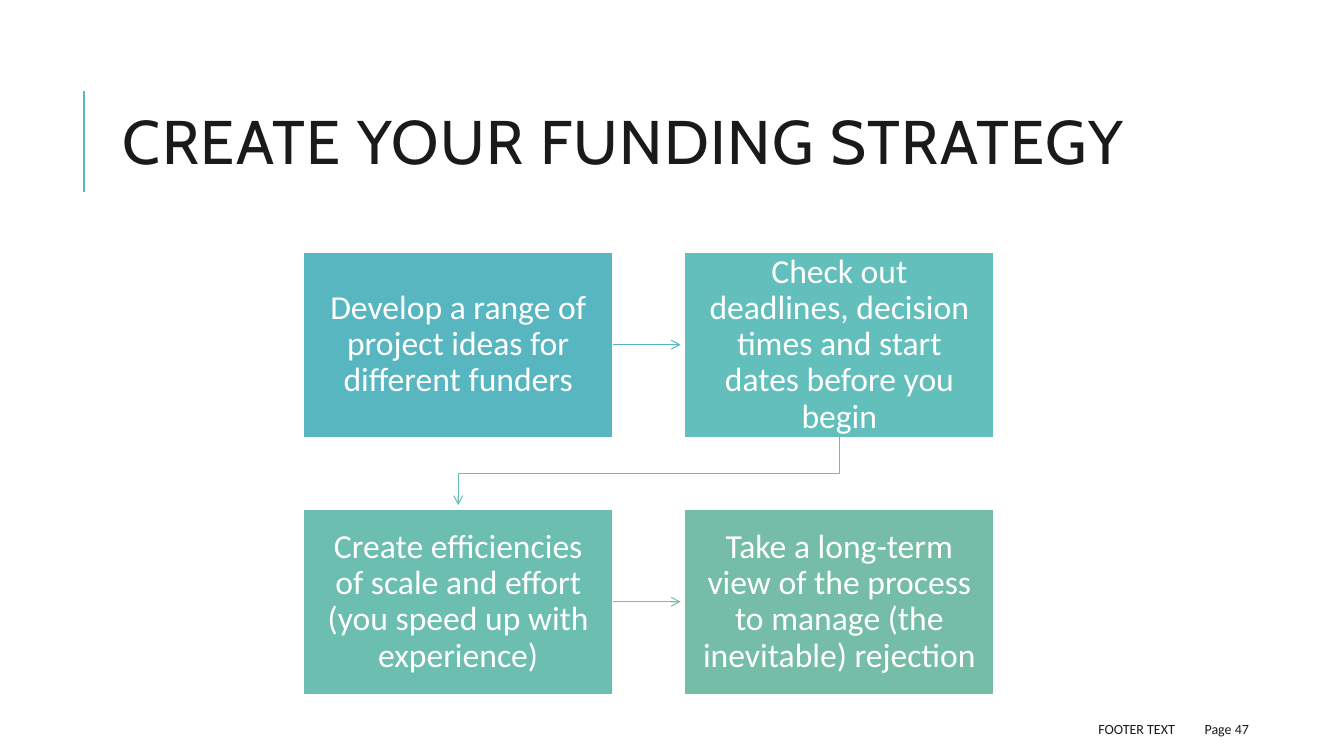
from lxml import etree
from pptx import Presentation
from pptx.dml.color import RGBColor
from pptx.enum.shapes import MSO_CONNECTOR, MSO_SHAPE
from pptx.enum.text import MSO_ANCHOR, PP_ALIGN
from pptx.oxml.ns import qn
from pptx.util import Inches, Pt

WHITE = RGBColor(0xFF, 0xFF, 0xFF)
INK = RGBColor(0x1A, 0x1A, 0x1A)
BLUE = RGBColor(0x58, 0xB6, 0xC0)
TEAL = RGBColor(0x67, 0xBE, 0xB5)
GREEN = RGBColor(0x75, 0xBD, 0xA7)
STEPS = [
    ("Develop a range of project ideas for different funders", BLUE),
    ("Check out deadlines, decision times and start dates before you begin",
     RGBColor(0x62, 0xBF, 0xBB)),
    ("Create efficiencies of scale and effort (you speed up with experience)",
     RGBColor(0x6C, 0xBE, 0xB0)),
    ("Take a long-term view of the process to manage (the inevitable) rejection",
     GREEN),
]


def write(tf, text, size, color, font="Calibri", align=PP_ALIGN.LEFT, spacing=1.0):
    """Write one middle-anchored paragraph and return its run."""
    tf.word_wrap = True
    tf.vertical_anchor = MSO_ANCHOR.MIDDLE
    p = tf.paragraphs[0]
    p.alignment = align
    p.line_spacing = spacing
    r = p.add_run()
    r.text = text
    r.font.name = font
    r.font.size = Pt(size)
    r.font.color.rgb = color
    return r


def style_line(sp, color, width, arrow=False):
    """Colour a line, drop its shadow and give it an optional arrowhead."""
    sp.line.color.rgb = color
    sp.line.width = Pt(width)
    if arrow:
        ln = sp.line._get_or_add_ln()
        etree.SubElement(ln, qn("a:tailEnd"), type="arrow")
    sp_pr = sp._element.spPr
    if sp_pr.find(qn("a:effectLst")) is None:
        etree.SubElement(sp_pr, qn("a:effectLst"))


def add_title(s, x, y, w, h):
    """Place the title and the accent rule on its left."""
    rule_x = Inches(x - 0.29)
    rule = s.shapes.add_connector(
        MSO_CONNECTOR.STRAIGHT, rule_x, Inches(y + 1.26), rule_x, Inches(y + 0.26))
    style_line(rule, BLUE, 1.5)
    box = s.shapes.add_textbox(Inches(x), Inches(y), Inches(w), Inches(h))
    r = write(box.text_frame, "CREATE YOUR FUNDING STRATEGY", 44, INK, "Cabin",
              spacing=0.8)
    r.font._element.set("spc", "100")


def add_step(s, text, color, x, y, w, h):
    """Place one filled step box and return it."""
    sp = s.shapes.add_shape(
        MSO_SHAPE.RECTANGLE, Inches(x), Inches(y), Inches(w), Inches(h))
    sp.shadow.inherit = False
    sp.fill.solid()
    sp.fill.fore_color.rgb = color
    sp.line.color.rgb = WHITE
    sp.line.width = Pt(1.25)
    tf = sp.text_frame
    tf.margin_left = tf.margin_right = Inches(0.15)
    tf.margin_top = tf.margin_bottom = Inches(0.16)
    write(tf, text, 24, WHITE, align=PP_ALIGN.CENTER, spacing=0.9)
    return sp


def add_flow(s, x, y, w, h):
    """Place the two-by-two step grid and the arrows between steps."""
    box_w, box_h, tip_gap = 3.07, 1.84, 0.04
    right, lower = x + w - box_w, y + h - box_h
    boxes = []
    for i, (text, color) in enumerate(STEPS):
        left, top = (x, right)[i % 2], (y, lower)[i // 2]
        boxes.append(add_step(s, text, color, left, top, box_w, box_h))
    for row_y, box, color in ((y, boxes[0], BLUE), (lower, boxes[2], GREEN)):
        mid = Inches(row_y + box_h / 2)
        arrow = s.shapes.add_connector(
            MSO_CONNECTOR.STRAIGHT, Inches(x + box_w), mid,
            Inches(right - tip_gap), mid)
        arrow.begin_connect(box, 3)
        style_line(arrow, color, 0.75, arrow=True)

    start_x, end_x = right + box_w / 2, x + box_w / 2
    start_y, bend_y = y + box_h, (y + box_h + lower) / 2
    fb = s.shapes.build_freeform(Inches(start_x), Inches(start_y))
    turns = [(start_x, bend_y), (end_x, bend_y), (end_x, lower - tip_gap)]
    fb.add_line_segments([(Inches(a), Inches(b)) for a, b in turns], close=False)
    elbow = fb.convert_to_shape()
    elbow.fill.background()
    style_line(elbow, TEAL, 0.75, arrow=True)


def add_footer(s, x, y, w, h):
    """Place the footer text and the page number."""
    page_w = 1.06
    text_w = w - page_w - 0.1
    for text, left, width, align in (
            ("FOOTER TEXT", x, text_w, PP_ALIGN.RIGHT),
            ("Page 47", x + w - page_w, page_w, PP_ALIGN.LEFT)):
        box = s.shapes.add_textbox(Inches(left), Inches(y), Inches(width), Inches(h))
        write(box.text_frame, text, 10, INK, align=align)


def main():
    """Build the slide and save it."""
    prs = Presentation()
    prs.slide_width, prs.slide_height = Inches(13.33), Inches(7.5)
    s = prs.slides.add_slide(prs.slide_layouts[6])
    add_title(s, 1.12, 0.64, 10.63, 1.64)
    add_flow(s, 3.01, 2.5, 6.85, 4.39)
    add_footer(s, 5.3, 7.08, 7.61, 0.3)
    prs.save("out.pptx")


if __name__ == "__main__":
    main()
